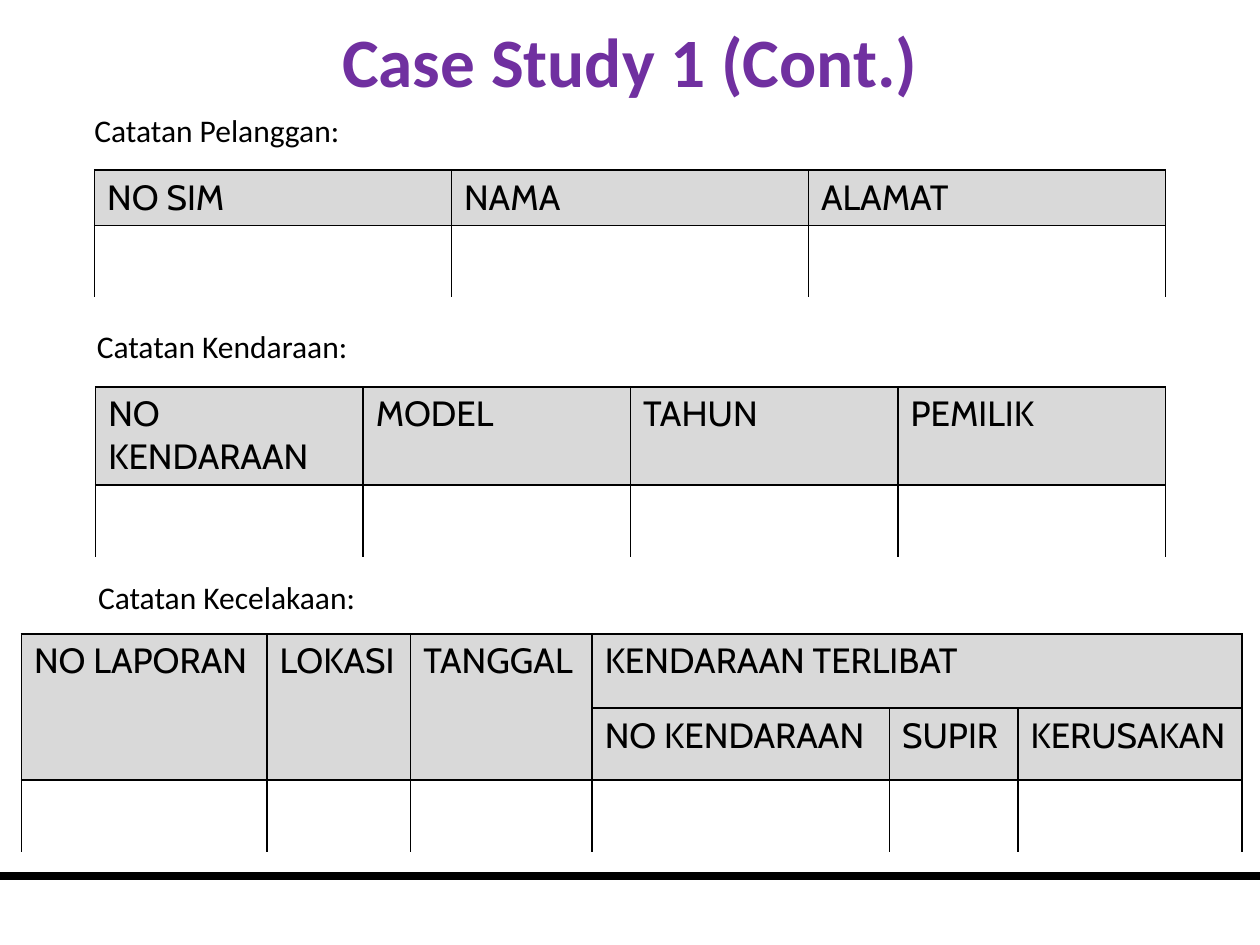
from lxml.etree import SubElement
from pptx import Presentation
from pptx.dml.color import RGBColor
from pptx.enum.text import MSO_ANCHOR, PP_ALIGN
from pptx.oxml import parse_xml
from pptx.oxml.ns import nsdecls, qn
from pptx.util import Inches, Pt

BLACK = RGBColor(0x00, 0x00, 0x00)
PURPLE = RGBColor(0x70, 0x30, 0xA0)
HEADER_GREY = RGBColor(0xD9, 0xD9, 0xD9)
SIDES = "LRTB"


def write(frame, text, font="Calibri", size=18, color=BLACK, bold=False,
          align=PP_ALIGN.LEFT):
    """Put one formatted line of text into a text frame."""
    paragraph = frame.paragraphs[0]
    paragraph.alignment = align
    run = paragraph.add_run()
    run.text = text
    run.font.name = font
    run.font.size = Pt(size)
    run.font.bold = bold
    run.font.color.rgb = color


def set_borders(cell, visible):
    """Draw the named sides of a cell in black and hide the others."""
    properties = cell._tc.get_or_add_tcPr()
    for index, side in enumerate(SIDES):
        paint = (f'<a:solidFill><a:srgbClr val="{BLACK}"/></a:solidFill>'
                 if side in visible else "<a:noFill/>")
        properties.insert(index, parse_xml(
            f'<a:ln{side} {nsdecls("a")} w="{Pt(1)}">{paint}</a:ln{side}>'))


class RecordSlide:
    header_font = "Cabin"
    header_size = 20

    def __init__(self, presentation):
        self.slide = presentation.slides.add_slide(presentation.slide_layouts[5])

    def title(self, text, left, top, width, height):
        title = self.slide.shapes.title
        title.left, title.top = Inches(left), Inches(top)
        title.width, title.height = Inches(width), Inches(height)
        title.text_frame.vertical_anchor = MSO_ANCHOR.MIDDLE
        write(title.text_frame, text, size=39.6, color=PURPLE, bold=True,
              align=PP_ALIGN.CENTER)

    def label(self, text, left, top, width):
        label = self.slide.shapes.add_textbox(
            Inches(left), Inches(top), Inches(width), Inches(0.5))
        label.text_frame.word_wrap = False
        write(label.text_frame, text)

    def rule(self, top):
        rule = self.slide.shapes.add_connector(
            1, Inches(0), Inches(top), Inches(10), Inches(top))
        rule.line.color.rgb = BLACK
        rule.line.width = Pt(4.5)
        SubElement(rule._element.spPr, qn("a:effectLst"))

    def table(self, left, top, widths, heights, headers, group=None):
        """Grey header rows above one blank row that is open at the bottom.

        group is the first column of a heading that spans to the right edge.
        """
        table = self.slide.shapes.add_table(
            len(heights), len(widths), Inches(left), Inches(top),
            Inches(sum(widths)), Inches(sum(heights))).table
        table.first_row = table.horz_banding = False
        for column, width in zip(table.columns, widths):
            column.width = Inches(width)
        for row, height in zip(table.rows, heights):
            row.height = Inches(height)

        last = len(heights) - 1
        for r in range(len(heights)):
            for c in range(len(widths)):
                cell = table.cell(r, c)
                visible = "LRT" if r == last else SIDES
                if r < last:
                    cell.fill.solid()
                    cell.fill.fore_color.rgb = HEADER_GREY
                    # Tall headers left of the group have no inner line
                    if group is not None and c < group:
                        visible = "LRT" if r == 0 else "LRB"
                    text = headers[r][c]
                    if text:
                        write(cell.text_frame, text, font=self.header_font,
                              size=self.header_size)
                else:
                    cell.fill.background()
                set_borders(cell, visible)
        if group is not None:
            table.cell(0, group).merge(table.cell(0, len(widths) - 1))


def main():
    presentation = Presentation()
    presentation.slide_width, presentation.slide_height = Inches(10), Inches(7.5)
    page = RecordSlide(presentation)

    page.rule(6.95)
    page.title("Case Study 1 (Cont.)", 0.75, 0.1, 8.5, 0.75)

    # Customer records
    page.label("Catatan Pelanggan:", 0.65, 0.83, 2.78)
    page.table(0.75, 1.35, [8.5 / 3] * 3, [0.44, 0.57],
               [["NO SIM", "NAMA", "ALAMAT"]])

    # Vehicle records
    page.label("Catatan Kendaraan:", 0.67, 2.55, 2.84)
    page.table(0.76, 3.07, [8.49 / 4] * 4, [0.78, 0.57],
               [["NO KENDARAAN", "MODEL", "TAHUN", "PEMILIK"]])

    # Accident records
    page.label("Catatan Kecelakaan:", 0.68, 4.54, 2.94)
    page.table(0.17, 5.03, [1.95, 1.14, 1.44, 2.36, 1.02, 1.78],
               [0.59, 0.57, 0.57],
               [["NO LAPORAN", "LOKASI", "TANGGAL", "KENDARAAN TERLIBAT", "", ""],
                ["", "", "", "NO KENDARAAN", "SUPIR", "KERUSAKAN"]],
               group=3)

    presentation.save("out.pptx")


if __name__ == "__main__":
    main()
